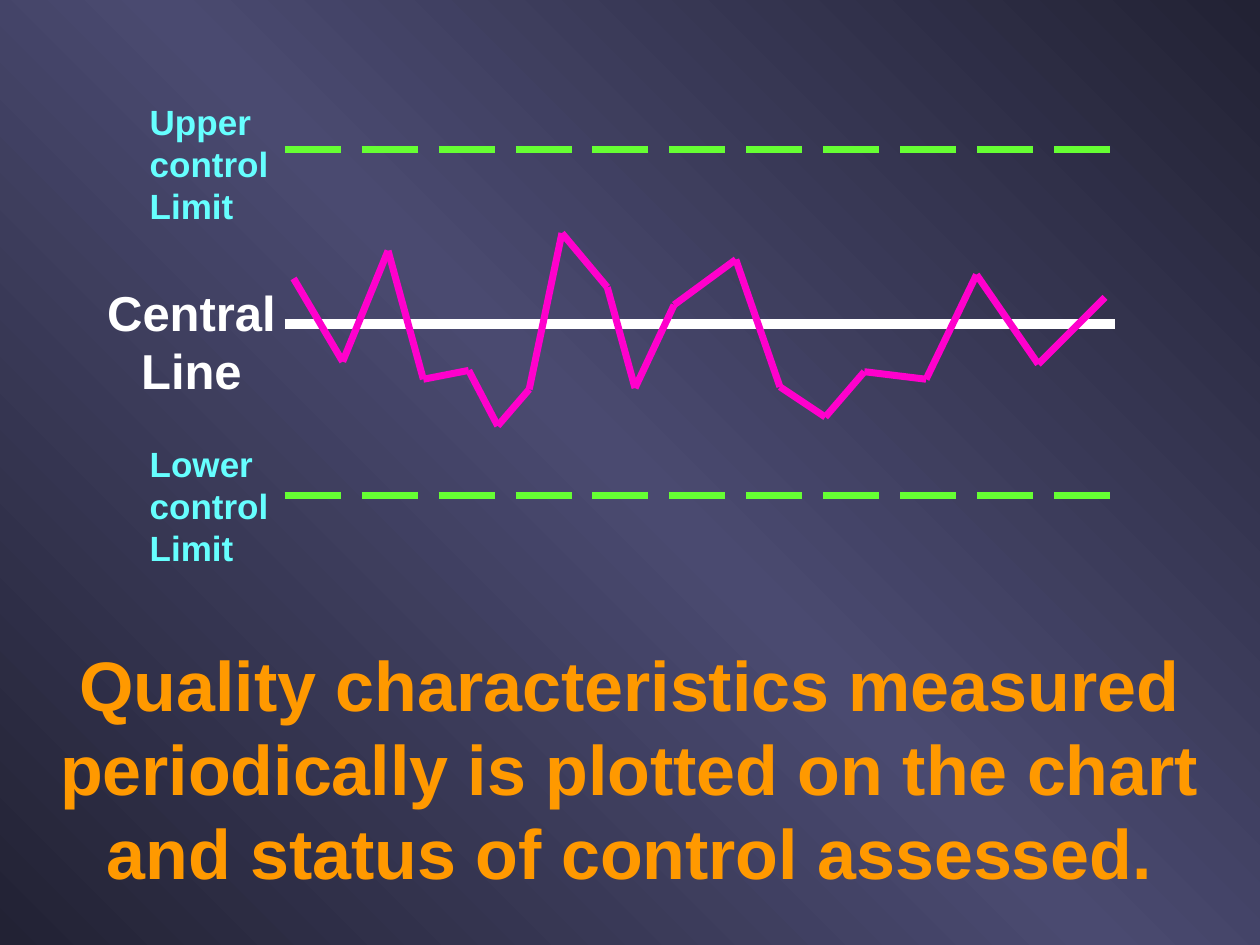
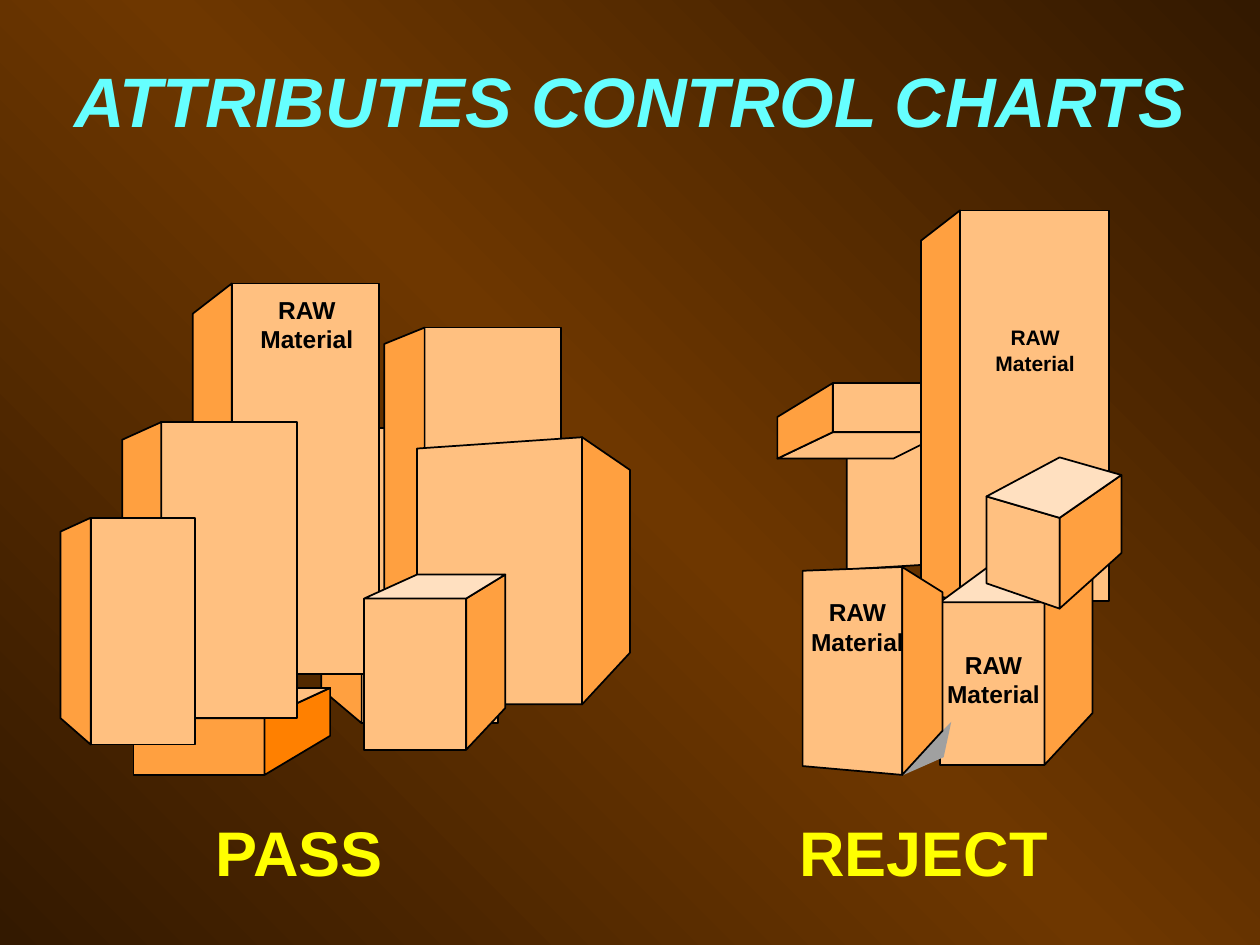
from copy import deepcopy
from itertools import pairwise

from lxml import etree
from pptx import Presentation
from pptx import util as u
from pptx.dml.color import RGBColor
from pptx.enum import dml, shapes, text
from pptx.oxml.ns import qn

COLS, ROWS = 10, 7.5
CELL = u.Inches(1)
FONT = "Arial"

NIGHT, DUSK = RGBColor(0x22, 0x22, 0x34), RGBColor(0x4A, 0x4A, 0x70)
BARK, RUST = RGBColor(0x33, 0x19, 0x00), RGBColor(0x6E, 0x37, 0x00)
WHITE, BLACK = RGBColor(255, 255, 255), RGBColor(0, 0, 0)
AMBER = RGBColor(0xFF, 0x99, 0x00)
GREEN = RGBColor(0x66, 0xFF, 0x33)
AQUA = RGBColor(0x66, 0xFF, 0xFF)
PINK = RGBColor(0xFF, 0x00, 0xCC)
YELLOW = RGBColor(0xFF, 0xFF, 0x00)
GRAY = RGBColor(0xA0, 0xA0, 0xA0)
PALE = RGBColor(0xFF, 0xE0, 0xC0)
PEACH = RGBColor(0xFF, 0xC0, 0x80)
ORANGE = RGBColor(0xFF, 0xA0, 0x40)
DEEP = RGBColor(0xFF, 0x80, 0x00)

LEFT, CENTER = text.PP_ALIGN.LEFT, text.PP_ALIGN.CENTER


def span(n):
    """Length of n grid cells."""
    return u.Emu(round(n * CELL))


class Deck:
    def __init__(self):
        self.prs = Presentation()
        self.prs.slide_width = span(COLS)
        self.prs.slide_height = span(ROWS)
        self.slide = None

    def page(self, edge, core):
        """Start a slide with a diagonal glow of core between edge corners."""
        self.slide = self.prs.slides.add_slide(self.prs.slide_layouts[6])
        fill = self.slide.background.fill
        fill.gradient()
        fill.gradient_angle = 45
        stops = next(self.slide.element.iter(qn("a:gsLst")))
        stops.insert(1, deepcopy(stops[0]))
        for stop, place, tone in zip(fill.gradient_stops, (0, 0.5, 1),
                                     (edge, core, edge)):
            stop.position = place
            stop.color.rgb = tone

    def label(self, words, x, y, w, h, size, color, align=CENTER,
              italic=False, wrap=True):
        box = self.slide.shapes.add_textbox(*map(span, (x, y, w, h)))
        frame = box.text_frame
        frame.text = words
        frame.word_wrap = wrap
        for para in frame.paragraphs:
            para.alignment = align
            for run in para.runs:
                font = run.font
                font.name, font.size = FONT, u.Pt(size)
                font.bold, font.italic = True, italic
                font.color.rgb = color

    def line(self, start, end, color, width, dash=None):
        link = self.slide.shapes.add_connector(
            shapes.MSO_CONNECTOR.STRAIGHT, *map(span, (*start, *end)))
        link.line.color.rgb = color
        link.line.width = u.Pt(width)
        if dash:
            link.line.dash_style = dash
        etree.SubElement(link.element.spPr, qn("a:effectLst"))

    def face(self, points, fill, edge=BLACK):
        first, *rest = [(span(x), span(y)) for x, y in points]
        pen = self.slide.shapes.build_freeform(*first)
        pen.add_line_segments(rest, close=True)
        form = pen.convert_to_shape()
        form.shadow.inherit = False
        form.fill.solid()
        form.fill.fore_color.rgb = fill
        if edge is None:
            form.line.fill.background()
        else:
            form.line.color.rgb = edge
            form.line.width = u.Pt(1)

    def crate(self, far, near, side, lid=None, tones=(PEACH, ORANGE, PALE)):
        """Draw a box from three upright edges, each (x, top, bottom).

        The front spans far to near, the flank near to side; lid is the
        back corner of an open top.
        """
        front, flank, cover = tones
        for (x1, top1, end1), (x2, top2, end2), tone in (
                (far, near, front), (near, side, flank)):
            self.face([(x1, top1), (x2, top2), (x2, end2), (x1, end1)], tone)
        if lid:
            self.face([far[:2], lid, side[:2], near[:2]], cover)

    def raw(self, x, y, size=14):
        self.label("RAW\nMaterial", x, y, 1.25, 0.57, size, BLACK)


def limits(deck):
    deck.page(NIGHT, DUSK)
    deck.label("Quality characteristics measured periodically is plotted on "
               "the chart and status of control assessed.",
               0.16, 5.04, 9.67, 2.1, 40, AMBER)
    start, end, mid = 2.26, 8.85, 2.57
    deck.line((start, mid), (end, mid), WHITE, 6)
    deck.label("Central\nLine", 0.75, 2.19, 1.54, 1.04, 28, WHITE, wrap=False)
    for name, y, top in (("Upper", 1.19, 0.75), ("Lower", 3.93, 3.46)):
        deck.line((start, y), (end, y), GREEN, 4, dml.MSO_LINE.LONG_DASH)
        deck.label(f"{name}\ncontrol\nLimit", 1.09, top, 1.26, 1.1, 20, AQUA,
                   LEFT)
    trace = [(2.33, 2.21), (2.72, 2.87), (3.08, 1.99), (3.36, 3.01),
             (3.72, 2.94), (3.95, 3.38), (4.2, 3.09), (4.46, 1.85),
             (4.82, 2.28), (5.04, 3.08), (5.35, 2.42), (5.84, 2.06),
             (6.19, 3.07), (6.55, 3.31), (6.86, 2.95), (7.35, 3.01),
             (7.75, 2.18), (8.24, 2.89), (8.77, 2.36)]
    for here, there in pairwise(trace):
        deck.line(here, there, PINK, 4)


def passed(deck):
    deck.crate((3.95, 3.4, 5.74), (2.87, 3.4, 5.74), (2.55, 3.53, 5.47))
    deck.crate((1.06, 5.7, 6.15), (2.1, 5.7, 6.15), (2.62, 5.46, 5.84),
               (1.55, 5.46), (ORANGE, DEEP, PEACH))
    deck.crate((3.01, 2.25, 5.35), (1.84, 2.25, 5.35), (1.53, 2.49, 5.28))
    deck.crate((2.36, 3.35, 5.7), (1.28, 3.35, 5.7), (0.97, 3.49, 5.43))
    deck.crate((1.55, 4.11, 5.91), (0.72, 4.11, 5.91), (0.48, 4.22, 5.7))
    deck.crate((4.45, 2.6, 4.94), (3.37, 2.6, 4.94), (3.05, 2.73, 4.67))
    deck.crate((3.31, 3.56, 5.59), (4.62, 3.47, 5.59), (5, 3.73, 5.18))
    deck.crate((2.89, 4.75, 5.95), (3.7, 4.75, 5.95), (4.01, 4.56, 5.62),
               (3.31, 4.56))
    deck.raw(1.81, 2.29)
    deck.label("PASS", 0.25, 6.41, 4.25, 0.7, 36, YELLOW)


def failed(deck):
    deck.face([(6.72, 3.55), (7.38, 3.41), (7.38, 4.48), (6.72, 4.52)], PEACH)
    deck.face([(7.51, 3.43), (7.09, 3.64), (6.17, 3.64), (6.61, 3.43)], PEACH)
    deck.crate((7.51, 3.04, 3.43), (6.61, 3.04, 3.43), (6.17, 3.31, 3.64))
    deck.crate((8.8, 1.67, 4.77), (7.62, 1.67, 4.77), (7.31, 1.91, 4.7))
    deck.crate((7.46, 4.78, 6.07), (8.29, 4.78, 6.07), (8.67, 4.45, 5.66),
               (7.91, 4.45))
    deck.crate((7.83, 3.94, 4.63), (8.41, 4.11, 4.83), (8.9, 3.77, 4.39),
               (8.41, 3.63))
    deck.face([(7.15, 6.16), (7.47, 5.81), (7.55, 5.73), (7.49, 6.01)],
              GRAY, None)
    deck.crate((6.37, 4.53, 6.08), (7.16, 4.5, 6.15), (7.48, 4.7, 5.8))
    deck.raw(6.18, 4.69)
    deck.raw(7.26, 5.11)
    deck.raw(7.59, 2.53, 12)
    deck.label("REJECT", 5.33, 6.41, 4, 0.7, 36, YELLOW)


def main():
    deck = Deck()
    limits(deck)
    deck.page(BARK, RUST)
    deck.label("ATTRIBUTES CONTROL CHARTS", 0.25, 0.41, 9.5, 0.77, 40, AQUA,
               italic=True)
    passed(deck)
    failed(deck)
    deck.prs.save("out.pptx")


if __name__ == "__main__":
    main()
